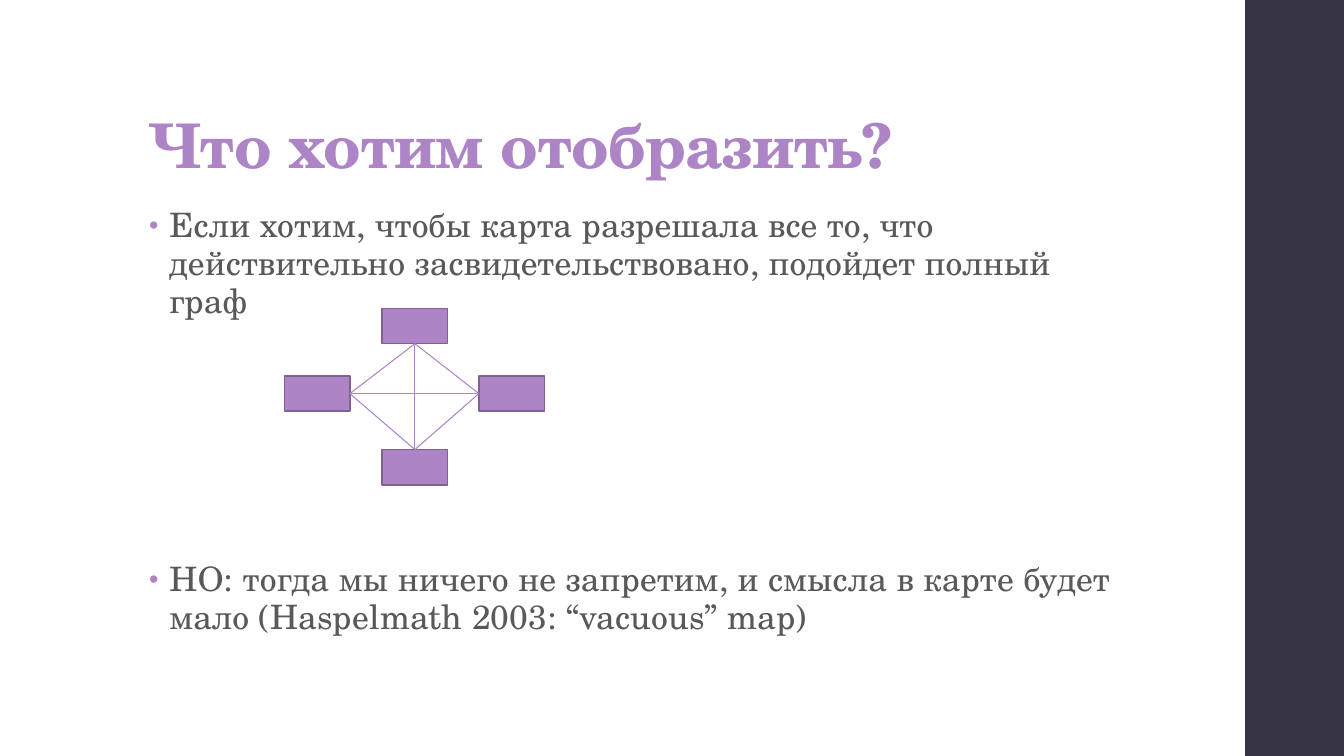
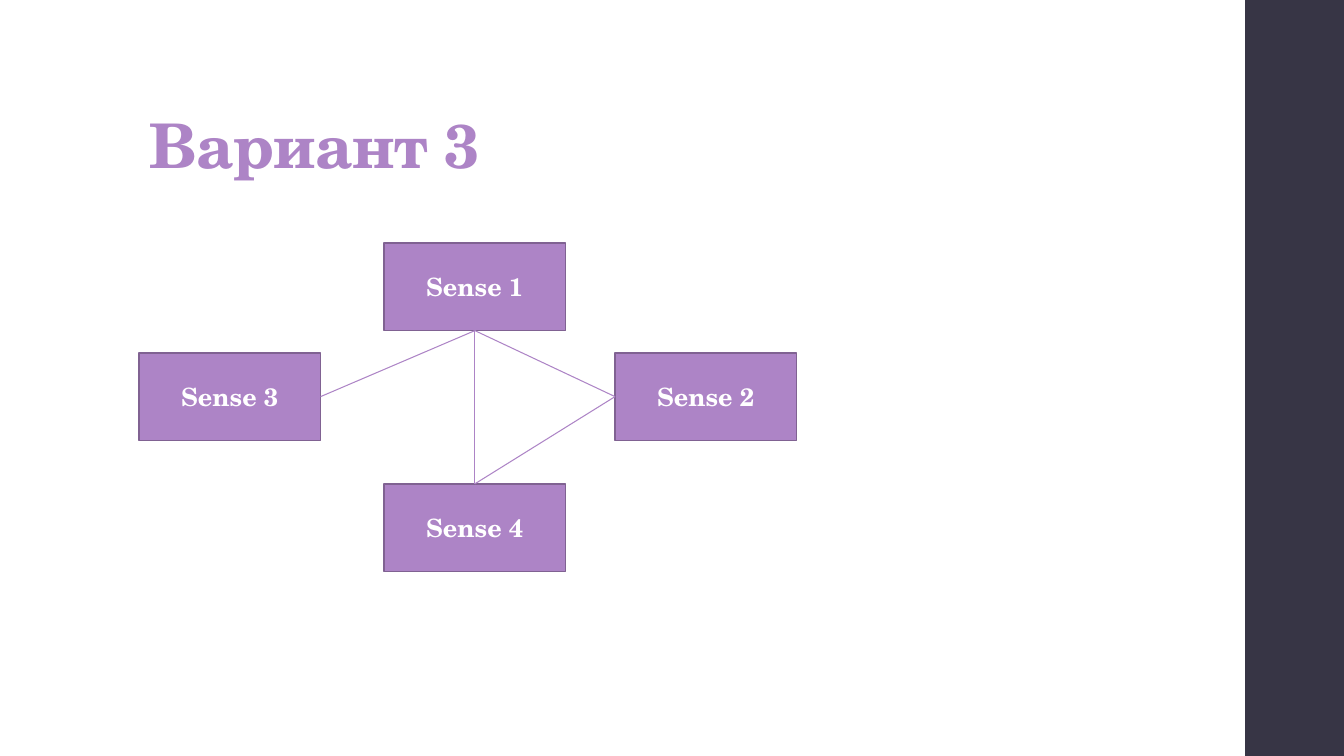
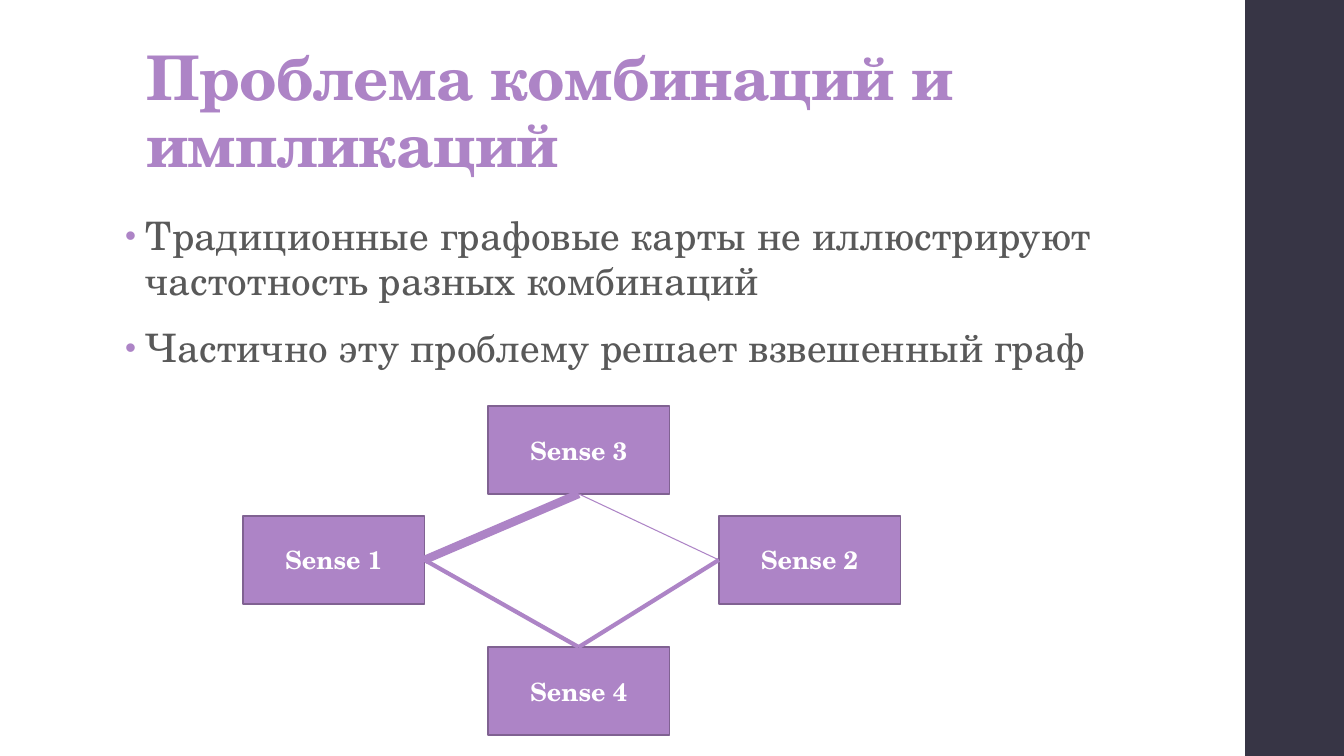
from dataclasses import dataclass

from lxml import etree
from pptx import Presentation
from pptx.dml.color import RGBColor
from pptx.enum import shapes, text
from pptx.oxml import ns
from pptx.util import Inches, Pt

COLORS = {
    "accent": "AD84C6",
    "outline": "806292",
    "band": "373545",
    "body": "595959",
    "white": "FFFFFF",
}
FONT = "TeX Gyre Schola"
SLIDE_WIDTH, SLIDE_HEIGHT = 13.33, 7.5
BAND_LEFT = 12.35
TITLE_AND_BODY, TITLE_ONLY = 1, 5

# The side of each box that faces the centre of its diagram.
INNER_SITE = {"top": 2, "left": 3, "right": 1, "bottom": 0}


@dataclass(frozen=True)
class Box:
    left: float
    top: float
    width: float
    height: float


@dataclass(frozen=True)
class Bullet:
    text: str
    space_before: float = 14


@dataclass(frozen=True)
class Edge:
    start: str
    end: str
    weight: float = 0.75


@dataclass(frozen=True)
class Graph:
    """Four nodes in a diamond: three column lefts, three row tops."""
    columns: tuple[float, float, float]
    rows: tuple[float, float, float]
    node_size: tuple[float, float]
    labels: dict[str, str]
    edges: list[Edge]

    def node_box(self, position: str) -> Box:
        left, center, right = self.columns
        top, middle, bottom = self.rows
        corners = {
            "left": (left, middle),
            "bottom": (center, bottom),
            "right": (right, middle),
            "top": (center, top),
        }
        return Box(*corners[position], *self.node_size)


@dataclass(frozen=True)
class SlideContent:
    title: str
    graph: Graph
    title_box: Box = Box(1.38, 0.29, 10.6, 1.56)
    body_box: Box | None = None
    body_size: float = 24
    bullets: tuple[Bullet, ...] = ()


NODE_POSITIONS = ("left", "bottom", "right", "top")

SLIDES = [
    SlideContent(
        "Что хотим отобразить?",
        Graph(
            (2.82, 3.79, 4.75), (3.06, 3.73, 4.46), (0.65, 0.35), {},
            [
                Edge("left", "right"), Edge("top", "bottom"),
                Edge("left", "top"), Edge("top", "right"),
                Edge("left", "bottom"), Edge("right", "bottom"),
            ],
        ),
        body_box=Box(1.38, 2, 9.95, 4.76),
        bullets=(
            Bullet("Если хотим, чтобы карта разрешала все то, что действительно "
                   "засвидетельствовано, подойдет полный граф"),
            Bullet("НО: тогда мы ничего не запретим, и смысла в карте будет мало "
                   "(Haspelmath 2003: “vacuous” map)", space_before=169),
        ),
    ),
    SlideContent(
        "Вариант 3",
        Graph(
            (1.38, 3.81, 6.1), (2.41, 3.5, 4.8), (1.8, 0.87),
            {"left": "Sense 3", "bottom": "Sense 4", "right": "Sense 2", "top": "Sense 1"},
            [
                Edge("left", "top"), Edge("top", "right"),
                Edge("right", "bottom"), Edge("top", "bottom"),
            ],
        ),
    ),
    SlideContent(
        "Проблема комбинаций и импликаций",
        Graph(
            (2.41, 4.84, 7.13), (4.03, 5.12, 6.42), (1.8, 0.87),
            {"left": "Sense 1", "bottom": "Sense 4", "right": "Sense 2", "top": "Sense 3"},
            [
                Edge("left", "top", 6), Edge("top", "right"),
                Edge("right", "bottom", 3), Edge("left", "bottom", 3),
            ],
        ),
        title_box=Box(1.35, 0.28, 10.6, 1.56),
        body_box=Box(1.14, 2.08, 10.16, 4.76),
        body_size=28,
        bullets=(
            Bullet("Традиционные графовые карты не иллюстрируют частотность разных комбинаций"),
            Bullet("Частично эту проблему решает взвешенный граф"),
        ),
    ),
]


def color(name: str) -> RGBColor:
    return RGBColor.from_string(COLORS[name])


def place(shape, box: Box) -> None:
    shape.left, shape.top = Inches(box.left), Inches(box.top)
    shape.width, shape.height = Inches(box.width), Inches(box.height)


def add_run(paragraph, content: str, size: float, color_name: str,
            bold: bool = False, spacing: int = 0) -> None:
    """Spacing between letters is in hundredths of a point."""
    run = paragraph.add_run()
    run.text = content
    run.font.name = FONT
    run.font.size = Pt(size)
    run.font.bold = bold
    run.font.color.rgb = color(color_name)
    if spacing:
        run.font._element.set("spc", str(spacing))


def add_rectangle(slide, box: Box, fill: str, outline: str | None = None):
    rectangle = slide.shapes.add_shape(
        shapes.MSO_SHAPE.RECTANGLE, Inches(box.left), Inches(box.top),
        Inches(box.width), Inches(box.height))
    rectangle.shadow.inherit = False
    rectangle.fill.solid()
    rectangle.fill.fore_color.rgb = color(fill)
    if outline:
        rectangle.line.color.rgb = color(outline)
        rectangle.line.width = Pt(1.1)
    else:
        rectangle.line.fill.background()
    return rectangle


def move_to_master(presentation, shape) -> None:
    presentation.slide_master.shapes.element.append(shape.element)


def set_bullet(paragraph) -> None:
    properties = paragraph._p.get_or_add_pPr()
    properties.set("marL", str(Inches(0.2)))
    properties.set("indent", str(-Inches(0.2)))
    bullet_color = etree.SubElement(properties, ns.qn("a:buClr"))
    etree.SubElement(bullet_color, ns.qn("a:srgbClr"), val=COLORS["accent"])
    etree.SubElement(properties, ns.qn("a:buSzPct"), val="80000")
    etree.SubElement(properties, ns.qn("a:buFont"), typeface="Arial")
    etree.SubElement(properties, ns.qn("a:buChar"), char="•")


def fill_title(slide, content: SlideContent) -> None:
    title = slide.shapes.title
    place(title, content.title_box)
    frame = title.text_frame
    frame.auto_size = text.MSO_AUTO_SIZE.NONE
    frame.vertical_anchor = text.MSO_ANCHOR.BOTTOM
    frame.margin_top = Inches(0.03)
    paragraph = frame.paragraphs[0]
    paragraph.alignment = text.PP_ALIGN.LEFT
    paragraph.line_spacing = 0.9
    add_run(paragraph, content.title, 44, "accent", bold=True, spacing=-50)


def fill_body(slide, content: SlideContent) -> None:
    body = slide.placeholders[1]
    place(body, content.body_box)
    frame = body.text_frame
    frame.auto_size = text.MSO_AUTO_SIZE.NONE
    for index, bullet in enumerate(content.bullets):
        paragraph = frame.add_paragraph() if index else frame.paragraphs[0]
        paragraph.line_spacing = 0.95
        paragraph.space_before = Pt(bullet.space_before)
        paragraph.space_after = Pt(2)
        set_bullet(paragraph)
        add_run(paragraph, bullet.text, content.body_size, "body", spacing=10)


def add_node(slide, box: Box, label: str | None):
    node = add_rectangle(slide, box, "accent", "outline")
    if label:
        node.text_frame.vertical_anchor = text.MSO_ANCHOR.MIDDLE
        paragraph = node.text_frame.paragraphs[0]
        paragraph.alignment = text.PP_ALIGN.CENTER
        add_run(paragraph, label, 18, "white", bold=True)
    return node


def add_graph(slide, graph: Graph) -> None:
    nodes = {
        position: add_node(slide, graph.node_box(position), graph.labels.get(position))
        for position in NODE_POSITIONS
    }
    for edge in graph.edges:
        connector = slide.shapes.add_connector(shapes.MSO_CONNECTOR.STRAIGHT, 0, 0, 0, 0)
        connector.begin_connect(nodes[edge.start], INNER_SITE[edge.start])
        connector.end_connect(nodes[edge.end], INNER_SITE[edge.end])
        connector.line.color.rgb = color("accent")
        connector.line.width = Pt(edge.weight)
        etree.SubElement(connector.element.spPr, ns.qn("a:effectLst"))


def add_slide(presentation, content: SlideContent):
    layout = TITLE_AND_BODY if content.bullets else TITLE_ONLY
    slide = presentation.slides.add_slide(presentation.slide_layouts[layout])
    fill_title(slide, content)
    if content.bullets:
        fill_body(slide, content)
    add_graph(slide, content.graph)
    return slide


def main() -> None:
    presentation = Presentation()
    presentation.slide_width = Inches(SLIDE_WIDTH)
    presentation.slide_height = Inches(SLIDE_HEIGHT)
    slides = [add_slide(presentation, content) for content in SLIDES]
    band_box = Box(BAND_LEFT, 0, SLIDE_WIDTH - BAND_LEFT, SLIDE_HEIGHT)
    move_to_master(presentation, add_rectangle(slides[0], band_box, "band"))
    presentation.save("out.pptx")


if __name__ == "__main__":
    main()
